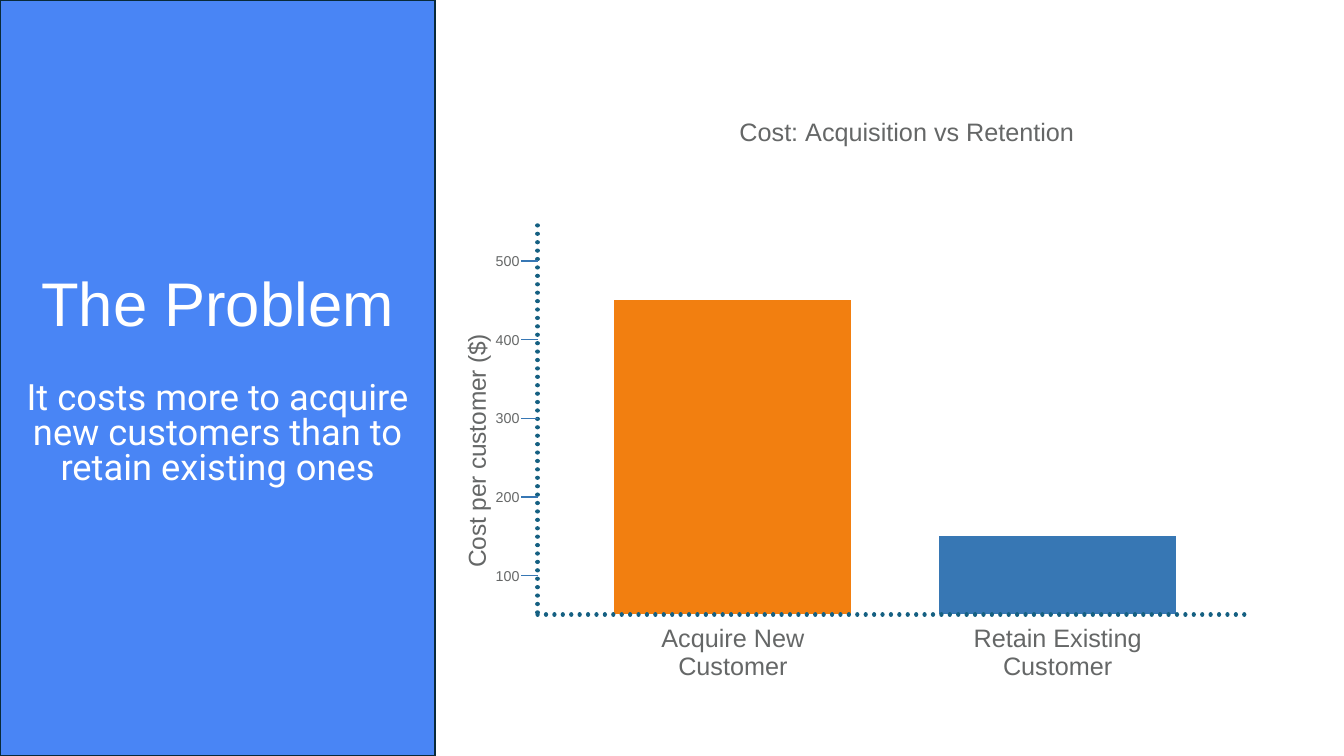
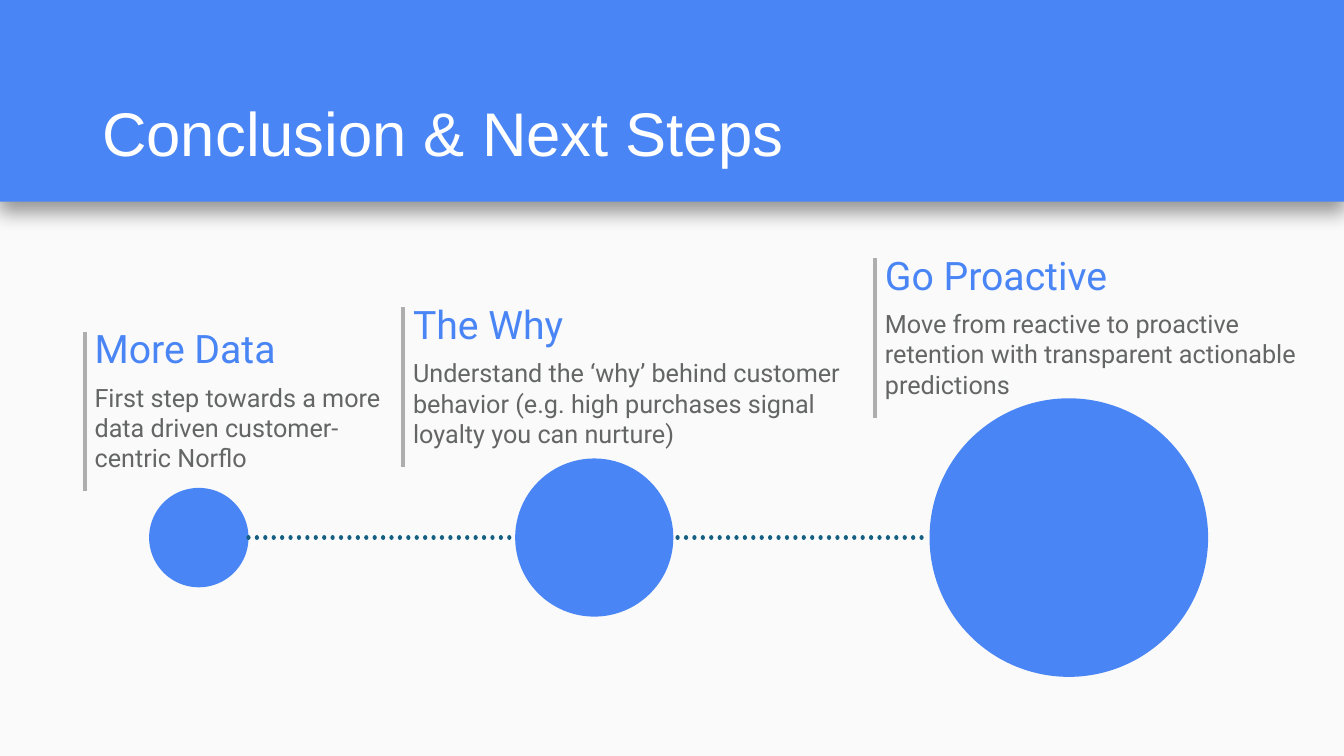
import lxml.etree
import pptx
import pptx.chart.data
import pptx.dml.color
import pptx.enum.chart
import pptx.enum.dml
import pptx.enum.shapes
import pptx.enum.text
import pptx.oxml
import pptx.oxml.ns
import pptx.util

Pt = pptx.util.Pt
RGB = pptx.dml.color.RGBColor.from_string
qn = pptx.oxml.ns.qn
SHAPE = pptx.enum.shapes.MSO_SHAPE
ALIGN = pptx.enum.text.PP_ALIGN
TICK = pptx.enum.chart.XL_TICK_MARK

# Shared style
C = {"blue": "4985F5", "edge": "092A39", "white": "FFFFFF", "page": "FAFAFA",
     "axis": "156082", "acquire": "F27F10", "retain": "3777B4",
     "label": "656767", "body": "646565", "rule": "AEAEAE"}
W, H = 960, 540
TITLE = {"name": "Arial", "size": 44, "color": "white"}
SUBTITLE = {"name": "Roboto", "size": 25.9, "color": "white"}
CHART_TEXT = {"name": "Arial", "size": 18, "bold": False, "color": "label"}
TICK_TEXT = {"name": "Arial", "size": 10.2, "color": "label"}
STEP_HEAD = {"name": "Roboto", "size": 28, "color": "blue"}
STEP_BODY = {"name": "Roboto", "size": 18, "color": "body"}


def set_font(font, fmt):
    for key, value in fmt.items():
        if key == "color":
            font.color.rgb = RGB(C[value])
        else:
            setattr(font, key, Pt(value) if key == "size" else value)


def add_text(s, box, text, fmt, **para):
    tf = s.shapes.add_textbox(*map(Pt, box)).text_frame
    tf.word_wrap = True
    p = tf.paragraphs[0]
    for key, value in para.items():
        setattr(p, key, value)
    r = p.add_run()
    r.text = text
    set_font(r.font, fmt)


prs = pptx.Presentation()
prs.slide_width, prs.slide_height = Pt(W), Pt(H)
problem, conclusion = [prs.slides.add_slide(prs.slide_layouts[6]) for _ in range(2)]

# Filled areas and circles; the circles are centred on the timeline
mid = 384
areas = [(problem, SHAPE.RECTANGLE, 0, 0, 311, H, "blue"),
         (conclusion, SHAPE.RECTANGLE, 0, 144, W, H - 144, "page"),
         (conclusion, SHAPE.RECTANGLE, 0, 0, W, 144, "blue")]
areas += [(conclusion, SHAPE.OVAL, cx - d / 2, mid - d / 2, d, d, "blue")
          for cx, d in [(142, 71), (427.5 - 3, 113), (763.5, 199)]]
drawn = []
for s, kind, x, y, w, h, color in areas:
    sp = s.shapes.add_shape(kind, Pt(x), Pt(y), Pt(w), Pt(h))
    sp.shadow.inherit = False
    sp.fill.solid()
    sp.fill.fore_color.rgb = RGB(C[color])
    sp.line.fill.background()
    drawn.append(sp)
panel, _, header = drawn[:3]
panel.line.color.rgb = RGB(C["edge"])
panel.line.width = Pt(1.5)

# Header shadow
effects = header._element.spPr.find(qn("a:effectLst"))
shadow = lxml.etree.SubElement(effects, qn("a:outerShdw"), blurRad=str(Pt(13)),
                               dist=str(Pt(8)), dir="5400000", rotWithShape="0")
black = lxml.etree.SubElement(shadow, qn("a:srgbClr"), val="000000")
lxml.etree.SubElement(black, qn("a:alpha"), val="40000")

# Slide 1: panel text
s = problem
add_text(s, (0, 192, 311, 56), "The Problem", TITLE,
         alignment=ALIGN.CENTER, line_spacing=0.9)
add_text(s, (0, 270, 311, 86),
         "It costs more to acquire new customers than to retain existing ones",
         SUBTITLE, alignment=ALIGN.CENTER, line_spacing=0.8)

# Slide 1: cost chart
data = pptx.chart.data.CategoryChartData()
data.categories = ["Acquire New\nCustomer", "Retain Existing\nCustomer"]
data.add_series("Cost per customer ($)", [450, 150])
left, top, width, height = 320, 60, 640, 440
chart = s.shapes.add_chart(
    pptx.enum.chart.XL_CHART_TYPE.COLUMN_CLUSTERED,
    Pt(left), Pt(top), Pt(width), Pt(height), data).chart
chart.has_legend = False
set_font(chart.font, CHART_TEXT)
plot = chart.plots[0]
plot.gap_width = 37
plot.vary_by_categories = False
for i, color in enumerate(["acquire", "retain"]):
    fill = plot.series[0].points[i].format.fill
    fill.solid()
    fill.fore_color.rgb = RGB(C[color])

cat, val = chart.category_axis, chart.value_axis
for axis, mark in [(cat, TICK.OUTSIDE), (val, TICK.NONE)]:
    axis.has_major_gridlines = False
    axis.format.line.fill.background()
    axis.major_tick_mark = mark
val.minimum_scale, val.maximum_scale, val.major_unit = 50, 545, 100
val.tick_label_position = pptx.enum.chart.XL_TICK_LABEL_POSITION.NONE

for title, text, size in [
        (chart.chart_title, "Cost: Acquisition vs Retention", 18),
        (val.axis_title, "Cost per customer ($)", 17.5)]:
    p = title.text_frame.paragraphs[0]
    r = p.add_run()
    r.text = text
    set_font(r.font, {**CHART_TEXT, "size": size})

# Fixed places for the plot area and both titles
for parent, index, x, y, size in [
        (chart._chartSpace.chart.plotArea, 0, 407.5, 161, (464, 278)),
        (chart.chart_title._element, 1, 525, 79, None),
        (val.axis_title._element, 1, 326, 235.5, None)]:
    places = {"xMode": "edge", "yMode": "edge",
              "x": (x - left) / width, "y": (y - top) / height}
    if size:
        places = {"layoutTarget": "inner", **places,
                  "w": size[0] / width, "h": size[1] / height}
    for old in parent.findall(qn("c:layout")):
        parent.remove(old)
    layout = lxml.etree.Element(qn("c:layout"))
    manual = lxml.etree.SubElement(layout, qn("c:manualLayout"))
    for key, value in places.items():
        lxml.etree.SubElement(manual, qn("c:" + key)).set("val", str(value))
    parent.insert(index, layout)

# Slide 1: scale labels
ticks = [(cost, 186.5 + 56.2 * i) for i, cost in enumerate(range(500, 0, -100))]
for cost, y in ticks:
    add_text(s, (343.5, y - 6.6, 38, 16.5), str(cost), TICK_TEXT,
             alignment=ALIGN.CENTER, line_spacing=0.7)

# Slide 2: steps
steps = [
    (60.5, 237, 220, "More Data",
     "First step towards a more data driven customer-centric Norflo"),
    (288, 219.5, 324, "The Why",
     "Understand the ‘why’ behind customer behavior "
     "(e.g. high purchases signal loyalty you can nurture)"),
    (625, 184.3, 324, "Go Proactive",
     "Move from reactive to proactive retention with transparent "
     "actionable predictions")]
s = conclusion
add_text(s, (66, 70, 828, 60), "Conclusion & Next Steps", TITLE, line_spacing=0.9)
for x, y, w, head, body in steps:
    add_text(s, (x, y - 8.6, w, 41), head, STEP_HEAD)
    add_text(s, (x, y + 32.4, w, 73), body, STEP_BODY)

# Lines: dotted axes and timeline, scale ticks, rules beside the steps
lines = [(problem, 384, 439, 894, 439, "axis", 3),
         (problem, 384, 161, 384, 439, "axis", 3),
         (conclusion, 177.5, mid, 368, mid, "axis", 3),
         (conclusion, 484, mid, 664, mid, "axis", 3)]
lines += [(problem, 372.5, y, 384, y, "retain", 1) for _, y in ticks]
lines += [(conclusion, x, y, x, y + 114, "rule", 3) for x, y, *_ in steps]
for s, x1, y1, x2, y2, color, weight in lines:
    cn = s.shapes.add_connector(pptx.enum.shapes.MSO_CONNECTOR.STRAIGHT,
                                Pt(x1), Pt(y1), Pt(x2), Pt(y2))
    cn.line.color.rgb = RGB(C[color])
    cn.line.width = Pt(weight)
    if color == "axis":
        cn.line.dash_style = pptx.enum.dml.MSO_LINE.ROUND_DOT
        cn._element.spPr.find(qn("a:ln")).set("cap", "rnd")
    lxml.etree.SubElement(cn._element.spPr, qn("a:effectLst"))

prs.save("out.pptx")
